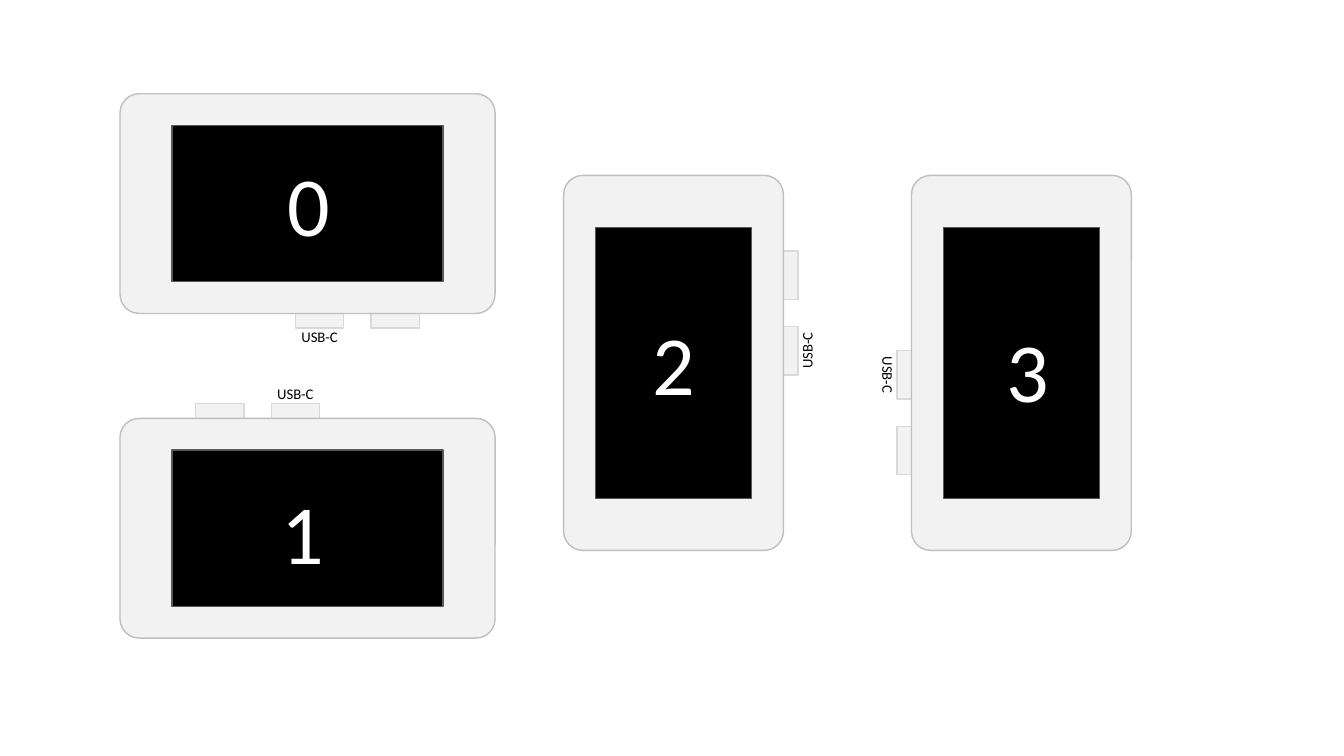
from math import cos, radians, sin

from pptx import Presentation
from pptx.dml.color import RGBColor
from pptx.enum.shapes import MSO_SHAPE
from pptx.enum.text import PP_ALIGN
from pptx.util import Inches, Pt

COLORS = {
    "case": "F2F2F2",
    "case_line": "BFBFBF",
    "port_line": "D9D9D9",
    "screen": "000000",
    "screen_line": "595959",
    "label": "000000",
    "digit": "FFFFFF",
}
CASE_SIZE = (3.72, 2.18)
SCREEN_SIZE = (2.69, 1.55)
PORT_SIZE = (0.48, 0.15)
LABEL_SIZE = (0.64, 0.29)
DIGIT_SIZE = (2.51, 1.11)

# Offsets from the centre of an unrotated device
PORT_OFFSETS = [(0.87, 1.16), (0.12, 1.16)]
LABEL_OFFSET = (0.12, 1.33)

# Digit, left, top, rotation, offset of the digit from the device centre
DEVICES = [
    ("0", 1.19, 0.93, 0, (0.01, 0)),
    ("1", 1.19, 4.15, 180, (-0.05, 0.03)),
    ("2", 5.59, 1.74, 270, (0, 0)),
    ("3", 9.04, 1.74, 90, (0.06, 0.07)),
]


def color(name):
    return RGBColor.from_string(COLORS[name])


def centered_box(center, size):
    """Return left, top, width and height of a box around its centre."""
    (x, y), (width, height) = center, size
    return [Inches(value) for value in (x - width / 2, y - height / 2, width, height)]


def add_part(shapes, kind, center, size, rotation, fill, line):
    shape = shapes.add_shape(kind, *centered_box(center, size))
    shape.rotation = rotation
    shape.shadow.inherit = False
    shape.fill.solid()
    shape.fill.fore_color.rgb = color(fill)
    shape.line.color.rgb = color(line)
    shape.line.width = Pt(1)
    return shape


def add_text(shapes, text, center, size, rotation, points, color_name):
    box = shapes.add_textbox(*centered_box(center, size))
    box.rotation = rotation
    box.text_frame.word_wrap = True
    box.text_frame.text = text
    paragraph = box.text_frame.paragraphs[0]
    paragraph.alignment = PP_ALIGN.CENTER
    font = paragraph.runs[0].font
    font.name = "Calibri"
    font.size = Pt(points)
    font.color.rgb = color(color_name)


def add_device(slide, left, top, rotation):
    """Draw a turned device whose visible case starts at left, top; return its centre."""
    width, height = CASE_SIZE if rotation % 180 == 0 else CASE_SIZE[::-1]
    center = (left + width / 2, top + height / 2)
    cosine, sine = cos(radians(rotation)), sin(radians(rotation))

    def turned(offset):
        x, y = offset
        return (center[0] + x * cosine - y * sine, center[1] + x * sine + y * cosine)

    shapes = slide.shapes.add_group_shape().shapes
    for offset in PORT_OFFSETS:
        add_part(shapes, MSO_SHAPE.RECTANGLE, turned(offset), PORT_SIZE, rotation,
                 "case", "port_line")
    case = add_part(shapes, MSO_SHAPE.ROUNDED_RECTANGLE, center, CASE_SIZE, rotation,
                    "case", "case_line")
    case.adjustments[0] = 0.087
    add_part(shapes, MSO_SHAPE.RECTANGLE, center, SCREEN_SIZE, rotation,
             "screen", "screen_line")
    # The label of the upside-down device stays readable
    label_rotation = rotation % 180 and rotation
    add_text(shapes, "USB-C", turned(LABEL_OFFSET), LABEL_SIZE, label_rotation, 10.5, "label")
    return center


def main():
    presentation = Presentation()
    presentation.slide_width = Inches(13.33)
    presentation.slide_height = Inches(7.5)
    slide = presentation.slides.add_slide(presentation.slide_layouts[6])
    for digit, left, top, rotation, (shift_x, shift_y) in DEVICES:
        x, y = add_device(slide, left, top, rotation)
        add_text(slide.shapes, digit, (x + shift_x, y + shift_y), DIGIT_SIZE, 0, 60, "digit")
    presentation.save("out.pptx")


if __name__ == "__main__":
    main()
